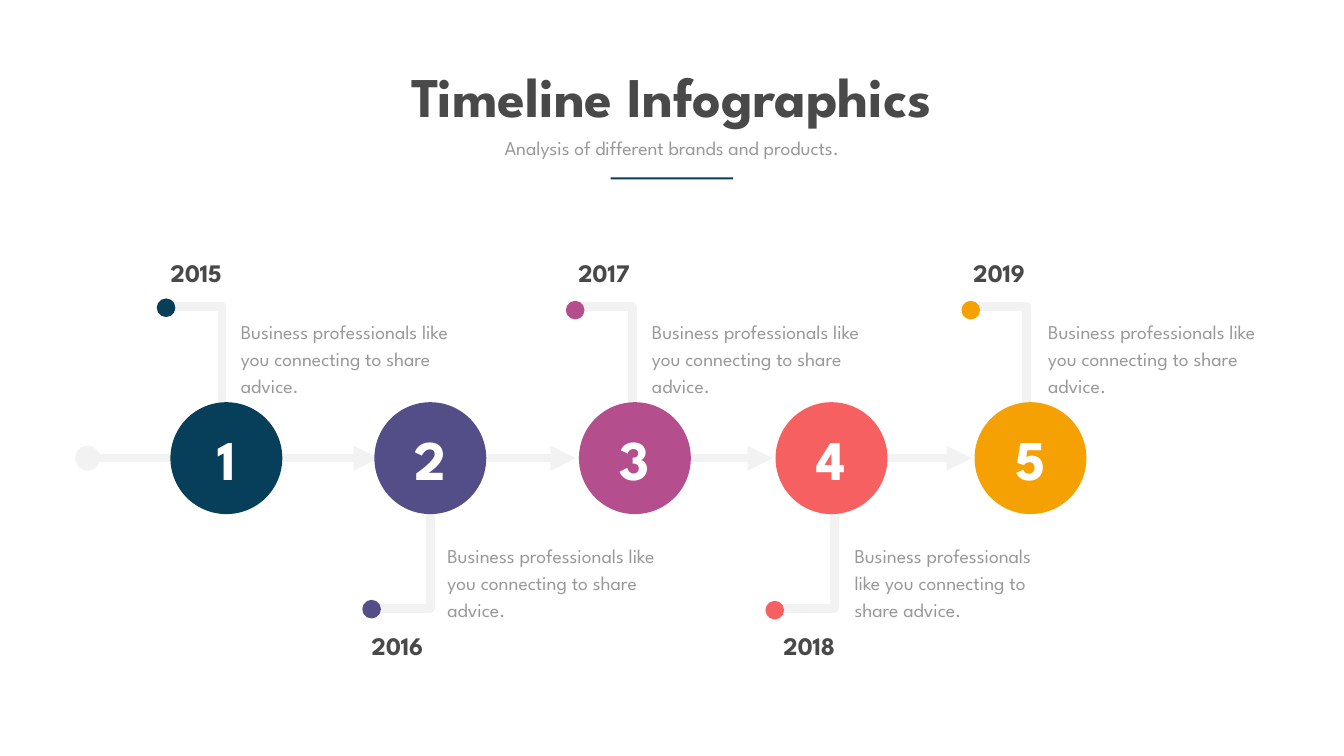
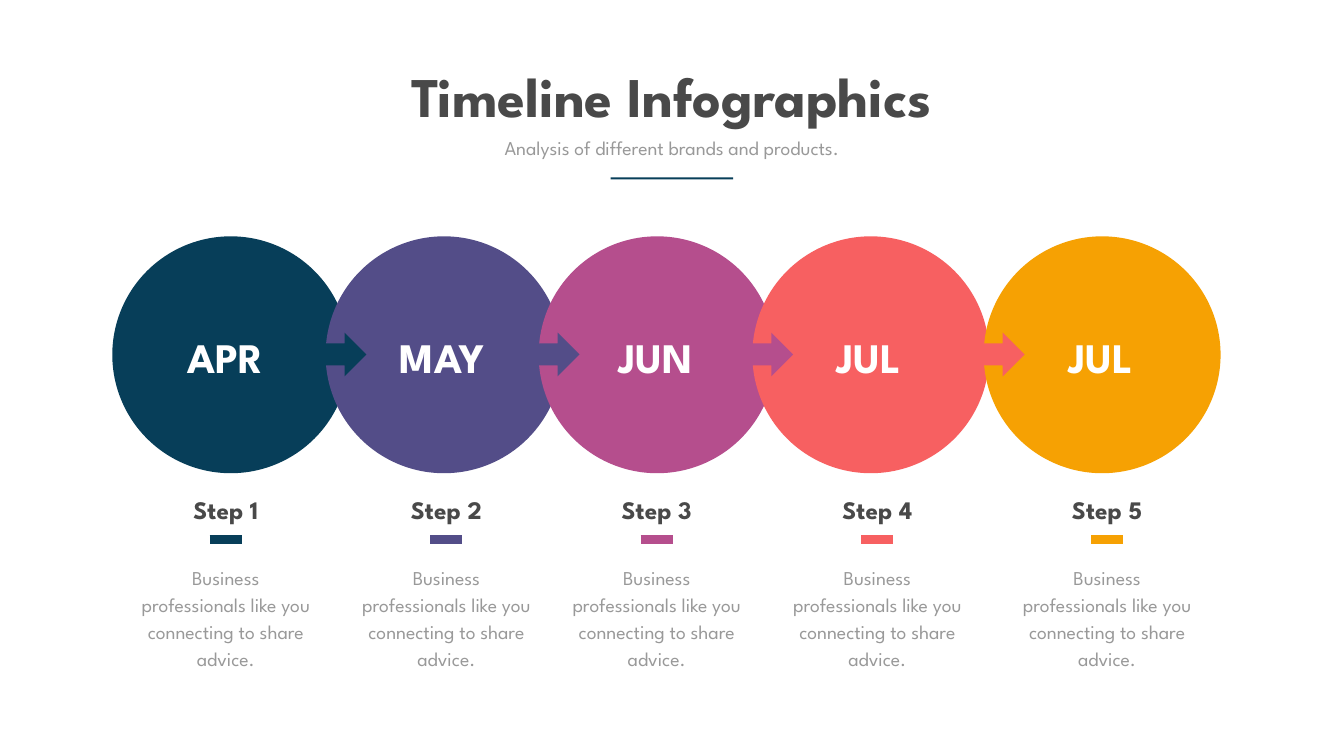
import pptx
import pptx.dml.color
import pptx.enum.shapes
import pptx.enum.text
import pptx.oxml.ns
import pptx.util
from collections import namedtuple
from lxml import etree

Cm = pptx.util.Cm
Pt = pptx.util.Pt
SHAPE = pptx.enum.shapes.MSO_SHAPE
CONNECTOR = pptx.enum.shapes.MSO_CONNECTOR
ALIGN = pptx.enum.text.PP_ALIGN

FONT = "League Spartan"
NAVY = "073E59"
PALETTE = [NAVY, "534D88", "B54E8D", "F76061", "F6A103"]
DARK, GREY, PALE, WHITE = "494949", "999999", "F2F2F2", "FFFFFF"

STYLES = {
    "title": (DARK, {"size": Pt(80), "bold": True}),
    "number": (WHITE, {"size": Pt(80), "bold": True}),
    "month": (WHITE, {"size": Pt(60), "bold": True}),
    "heading": (DARK, {"size": Pt(36), "bold": True}),
    "body": (GREY, {"size": Pt(28), "bold": False}),
}
ADVICE = "Business professionals like you connecting to share advice."
ADVICE_SPACING = Pt(38.6)

# Lengths in cm
Milestone = namedtuple(
    "Milestone",
    "year circle_left stem_x dot_left dot_top year_left advice_left advice_width above")
MILESTONES = [
    Milestone("2015", 8.59, 11.2, 7.9, 15.04, 7.77, 11.89, 11.23, True),
    Milestone("2016", 18.87, 21.69, 18.26, 30.23, 17.93, 22.3, 11, False),
    Milestone("2017", 29.18, 31.88, 28.52, 15.16, 28.32, 32.61, 11.13, True),
    Milestone("2018", 39.09, 42.06, 38.58, 30.28, 38.68, 42.82, 10.85, False),
    Milestone("2019", 49.12, 51.74, 48.46, 15.16, 48.26, 52.58, 11.1, True),
]
ARROW_STARTS = [4.42, 13.44, 23.37, 33.3, 43.33]
ARROW_LENGTH = 5.65
AXIS_Y = 23.09
CIRCLE = 5.64
DOT = 0.94

Step = namedtuple("Step", "month circle_left month_left caption_left")
STEPS = [
    Step("APR", 5.66, 7.06, 6.25),
    Step("MAY", 16.41, 17.98, 17.37),
    Step("JUN", 27.15, 28.75, 27.97),
    Step("JUL", 37.92, 39.47, 39.09),
    Step("JUL", 49.58, 51.16, 50.67),
]
CAPTION_WIDTH = 10.26


def rgb(hex_code):
    return pptx.dml.color.RGBColor.from_string(hex_code)


def write(frame, words, style, align, spacing=None):
    """Fill a text frame with one paragraph in a named style."""
    frame.word_wrap = True
    frame.auto_size = pptx.enum.text.MSO_AUTO_SIZE.NONE
    frame.vertical_anchor = pptx.enum.text.MSO_ANCHOR.TOP
    paragraph = frame.paragraphs[0]
    paragraph.alignment = align
    paragraph.line_spacing = spacing
    run = paragraph.add_run()
    run.text = words
    color, values = STYLES[style]
    run.font.name = FONT
    run.font.color.rgb = rgb(color)
    for attribute, value in values.items():
        setattr(run.font, attribute, value)


def add_text(slide, box, words, style, align=ALIGN.CENTER, spacing=None):
    textbox = slide.shapes.add_textbox(*map(Cm, box))
    write(textbox.text_frame, words, style, align, spacing)


def add_filled(slide, kind, box, color):
    shape = slide.shapes.add_shape(kind, *map(Cm, box))
    shape.shadow.inherit = False
    shape.fill.solid()
    shape.fill.fore_color.rgb = rgb(color)
    shape.line.fill.background()


def add_line(slide, start, end, color, kind=CONNECTOR.STRAIGHT, ends=None):
    """Draw a thick line; ends maps headEnd or tailEnd to an arrowhead type."""
    line = slide.shapes.add_connector(kind, *map(Cm, start + end))
    line.line.width = Pt(12)
    line.line.color.rgb = rgb(color)
    for tag, head in (ends or {}).items():
        etree.SubElement(line.line._get_or_add_ln(),
                         pptx.oxml.ns.qn("a:" + tag), type=head)
    properties = line._element.spPr
    etree.SubElement(properties, pptx.oxml.ns.qn("a:effectLst"))
    return line


def add_stem(slide, start, end):
    """Run level from start, then turn once towards end."""
    stem = add_line(slide, start, end, PALE, CONNECTOR.ELBOW)
    geometry = stem._element.spPr.find(pptx.oxml.ns.qn("a:prstGeom"))
    guides = geometry.find(pptx.oxml.ns.qn("a:avLst"))
    if guides is None:
        guides = etree.SubElement(geometry, pptx.oxml.ns.qn("a:avLst"))
    etree.SubElement(guides, pptx.oxml.ns.qn("a:gd"),
                     name="adj1", fmla="val 100000")


def add_titled_slide(deck):
    slide = deck.slides.add_slide(deck.slide_layouts[5])
    title = slide.shapes.title
    title.left, title.top, title.width, title.height = map(
        Cm, (18.97, 2.97, 29.77, 3.68))
    write(title.text_frame, "Timeline Infographics", "title", ALIGN.CENTER)
    add_text(slide, (21.72, 6.73, 24.28, 1.45),
             "Analysis of different brands and products.", "body")
    add_filled(slide, SHAPE.RECTANGLE, (30.78, 8.94, 6.17, 0.1), NAVY)
    return slide


def add_milestone(slide, number, milestone, color):
    circle_top = AXIS_Y - CIRCLE / 2
    add_filled(slide, SHAPE.OVAL,
               (milestone.circle_left, circle_top, CIRCLE, CIRCLE), color)
    add_text(slide, (milestone.circle_left, 21.29, CIRCLE, 3.35),
             str(number), "number")
    add_filled(slide, SHAPE.OVAL,
               (milestone.dot_left, milestone.dot_top, DOT, DOT), color)
    add_text(slide, (milestone.advice_left, 15.8 if milestone.above else 27.13,
                     milestone.advice_width, 4.09),
             ADVICE, "body", ALIGN.LEFT, ADVICE_SPACING)
    add_text(slide, (milestone.year_left, 12.83 if milestone.above else 31.62,
                     3.66, 1.7),
             milestone.year, "heading", ALIGN.RIGHT)


def build_years(deck):
    slide = add_titled_slide(deck)
    for milestone in MILESTONES:
        corner_y, foot_y = (15.44, 20.96) if milestone.above else (30.66, 25.1)
        add_stem(slide, (milestone.dot_left + DOT / 2, corner_y),
                 (milestone.stem_x, foot_y))
    for index, left in enumerate(ARROW_STARTS):
        ends = {"tailEnd": "triangle"} if index else {"headEnd": "oval"}
        add_line(slide, (left, AXIS_Y), (left + ARROW_LENGTH, AXIS_Y),
                 PALE, ends=ends)
    for number, (milestone, color) in enumerate(zip(MILESTONES, PALETTE), 1):
        add_milestone(slide, number, milestone, color)


def add_caption(slide, number, step, color):
    left = step.caption_left
    center = left + CAPTION_WIDTH / 2
    add_text(slide, (left, 24.77, CAPTION_WIDTH, 1.45),
             f"Step {number}", "heading")
    add_line(slide, (center - 0.81, 27.18), (center + 0.81, 27.18), color)
    add_text(slide, (center - 4.51, 28.22, 9.02, 3.45),
             ADVICE, "body", spacing=ADVICE_SPACING)


def build_months(deck):
    slide = add_titled_slide(deck)
    for step, color in zip(STEPS, PALETTE):
        add_filled(slide, SHAPE.OVAL,
                   (step.circle_left, 11.91, 11.94, 11.94), color)
    for following, color in zip(STEPS[1:], PALETTE):
        add_filled(slide, SHAPE.RIGHT_ARROW,
                   (following.circle_left - 1.14, 16.76, 3.2, 2.21), color)
    for number, (step, color) in enumerate(zip(STEPS, PALETTE), 1):
        add_text(slide, (step.month_left, 16.56, 8.61, 2.82),
                 step.month, "month")
        add_caption(slide, number, step, color)


def main():
    deck = pptx.Presentation()
    deck.slide_width, deck.slide_height = Cm(67.74), Cm(38.1)
    build_years(deck)
    build_months(deck)
    deck.save("out.pptx")


if __name__ == "__main__":
    main()
